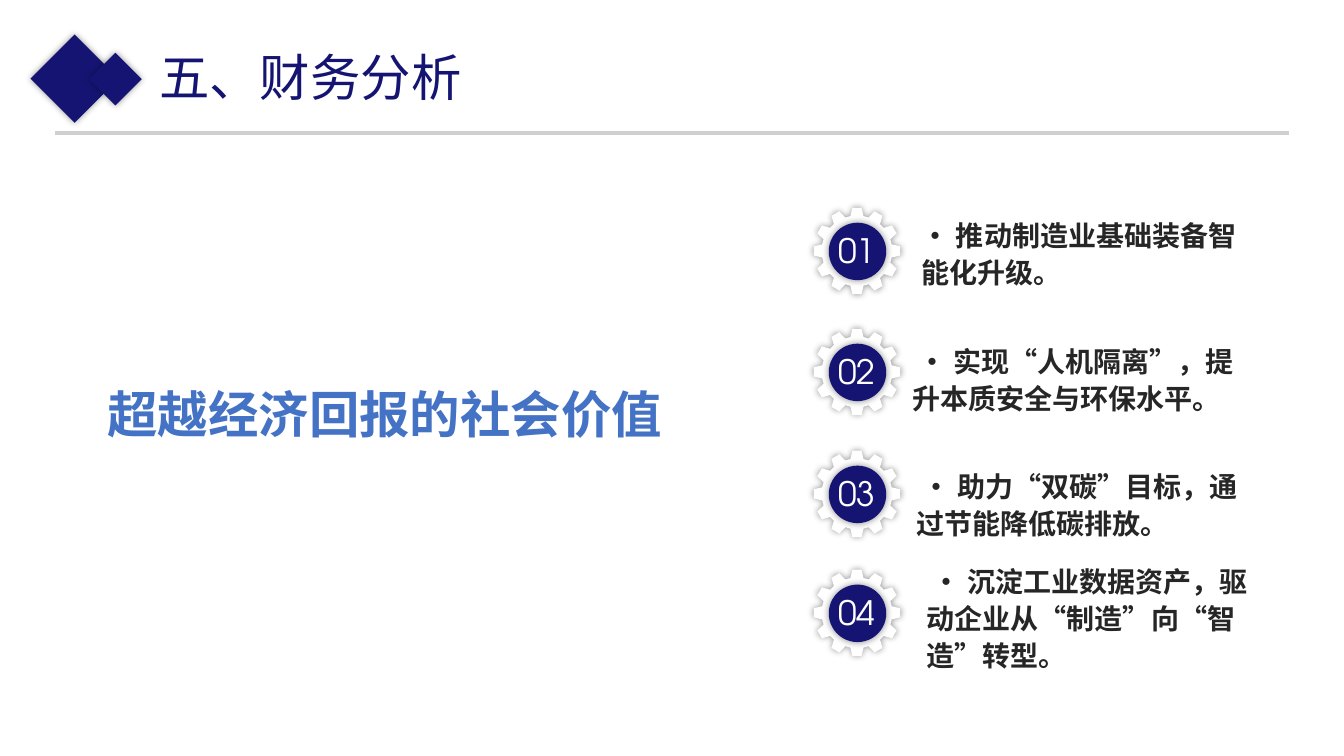
from math import cos, radians, sin

from lxml import etree
from pptx import Presentation
from pptx.dml.color import RGBColor
from pptx.enum import lang, shapes, text
from pptx.oxml import ns

PX = 9144
NAVY, WHITE, CJK = "151472", "FFFFFF", "Noto Sans CJK SC"


def paint(shape, color):
    shape.fill.solid()
    shape.fill.fore_color.rgb = RGBColor.from_string(color)
    shape.line.fill.background()
    shape.shadow.inherit = False
    effects = shape._element.spPr.find(ns.qn("a:effectLst"))
    glow = etree.SubElement(effects, ns.qn("a:outerShdw"), blurRad="63500", dist="0", dir="0")
    black = etree.SubElement(glow, ns.qn("a:srgbClr"), val="000000")
    etree.SubElement(black, ns.qn("a:alpha"), val="40000")


def write(parent, box, words, color, font, frame={}, paragraph={}):
    label = parent.add_textbox(*(n * PX for n in box)).text_frame
    for key, value in ({"word_wrap": True} | frame).items():
        setattr(label, key, value)
    line = label.paragraphs[0]
    for key, value in paragraph.items():
        setattr(line, key, value)
    run = line.add_run()
    run.text = words
    for key, value in ({"language_id": lang.MSO_LANGUAGE_ID.SIMPLIFIED_CHINESE} | font).items():
        setattr(run.font, key, value)
    run.font.color.rgb = RGBColor.from_string(color)
    asian = CJK if font["name"] == "Calibri" else font["name"]
    etree.SubElement(run._r.get_or_add_rPr(), ns.qn("a:ea"), typeface=asian)


deck = Presentation()
deck.slide_width, deck.slide_height = 1333 * PX, 750 * PX
slide = deck.slides.add_slide(deck.slide_layouts[6])
canvas = slide.shapes

header_rule = canvas.add_connector(
    shapes.MSO_CONNECTOR.STRAIGHT, 55 * PX, 132 * PX, 1278 * PX, 132 * PX)
header_rule.line.color.rgb = RGBColor.from_string("D0CECE")
header_rule.line.width = 28575
etree.SubElement(header_rule._element.spPr, ns.qn("a:effectLst"))

for left, top, side in [(43, 47, 62), (96, 60, 37)]:
    diamond = canvas.add_shape(
        shapes.MSO_SHAPE.RECTANGLE, left * PX, top * PX, side * PX, side * PX)
    diamond.rotation = 315
    paint(diamond, NAVY)

PT = 12700
grow = {"auto_size": text.MSO_AUTO_SIZE.SHAPE_TO_FIT_TEXT}
centred = {"alignment": text.PP_ALIGN.CENTER}
write(canvas, (148, 41, 621, 71), "五、财务分析", NAVY,
      {"size": 36 * PT, "name": "Noto Sans CJK JP"}, grow)

tooth = [(-65, -345), (-45, -428), (45, -428), (65, -345)]
gear_outline = [
    (x * cos(turn) - y * sin(turn), x * sin(turn) + y * cos(turn))
    for turn in map(radians, range(0, 360, 30)) for x, y in tooth]

values = [
    (249, 914, 225, "· 推动制造业基础装备智能化升级。"),
    (369, 905, 350, " · 实现“人机隔离”，提升本质安全与环保水平。"),
    (490, 909, 474, " · 助力“双碳”目标，通过节能降低碳排放。"),
    (608, 919, 586, " · 沉淀工业数据资产，驱动企业从“制造”向“智造”转型。"),
]
value_frame = {"margin_left": 0, "margin_right": 0, "vertical_anchor": text.MSO_ANCHOR.MIDDLE}

for number, (middle, left, top, sentence) in enumerate(values, 1):
    badge = canvas.add_group_shape().shapes
    outline = badge.build_freeform(*gear_outline[0], scale=PX / 10)
    outline.add_line_segments(gear_outline[1:], close=True)
    paint(outline.convert_to_shape(850 * PX, middle * PX), WHITE)
    hub = badge.add_shape(
        shapes.MSO_SHAPE.OVAL, 822 * PX, (middle - 28) * PX, 57 * PX, 57 * PX)
    paint(hub, NAVY)
    write(badge, (810, middle - 26, 80, 50), f"{number:02}", WHITE,
          {"size": 24 * PT, "name": "TeX Gyre Adventor"}, grow, centred)
    write(canvas, (left, top, 338, 51), sentence, "262626",
          {"size": 20 * PT, "name": CJK, "bold": True}, value_frame, {"line_spacing": 1.1})

write(canvas, (58, 375, 636, 123), " 超越经济回报的社会价值", "4472C4",
      {"size": 36 * PT, "name": "Calibri", "bold": True}, paragraph=centred)

deck.save("out.pptx")
